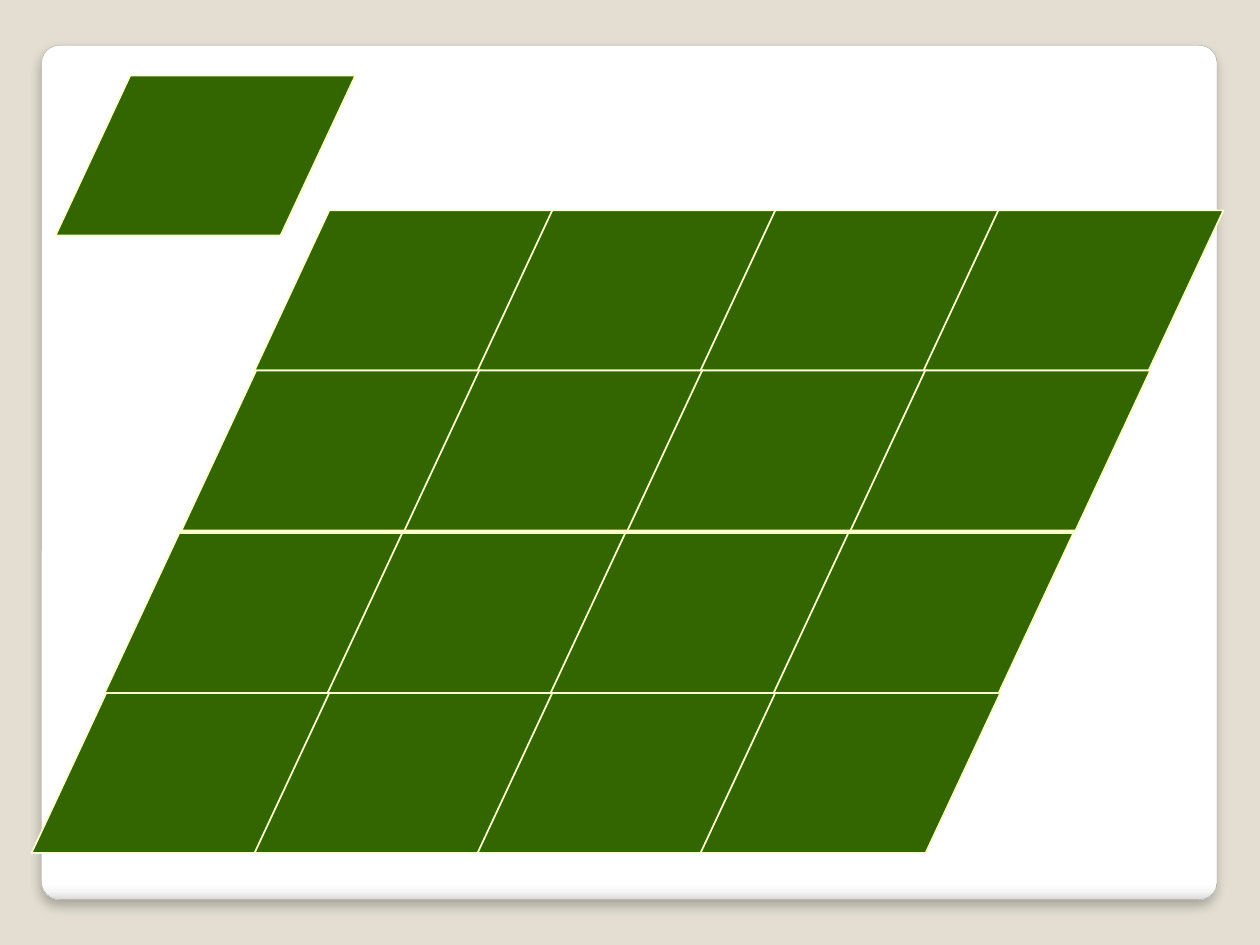
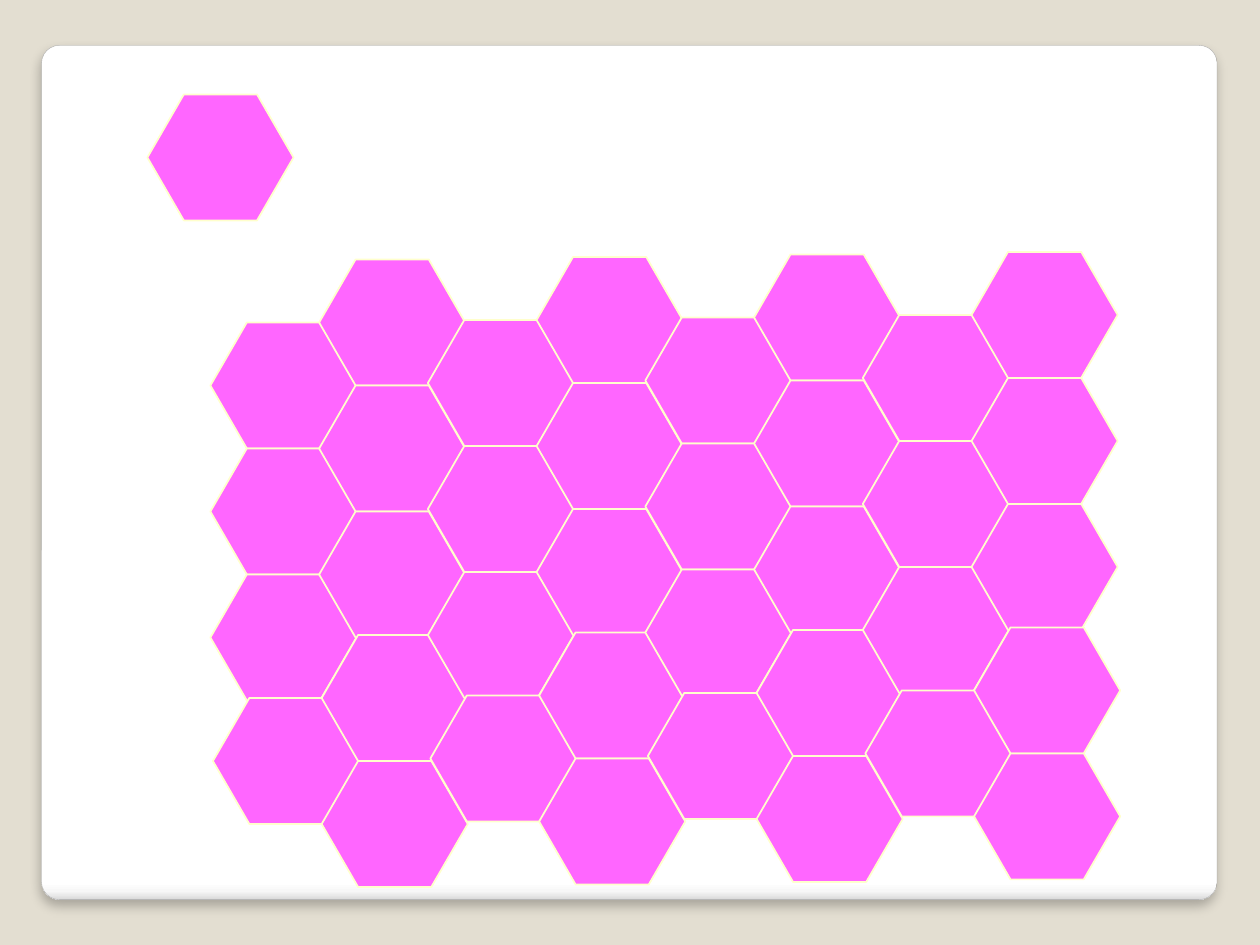
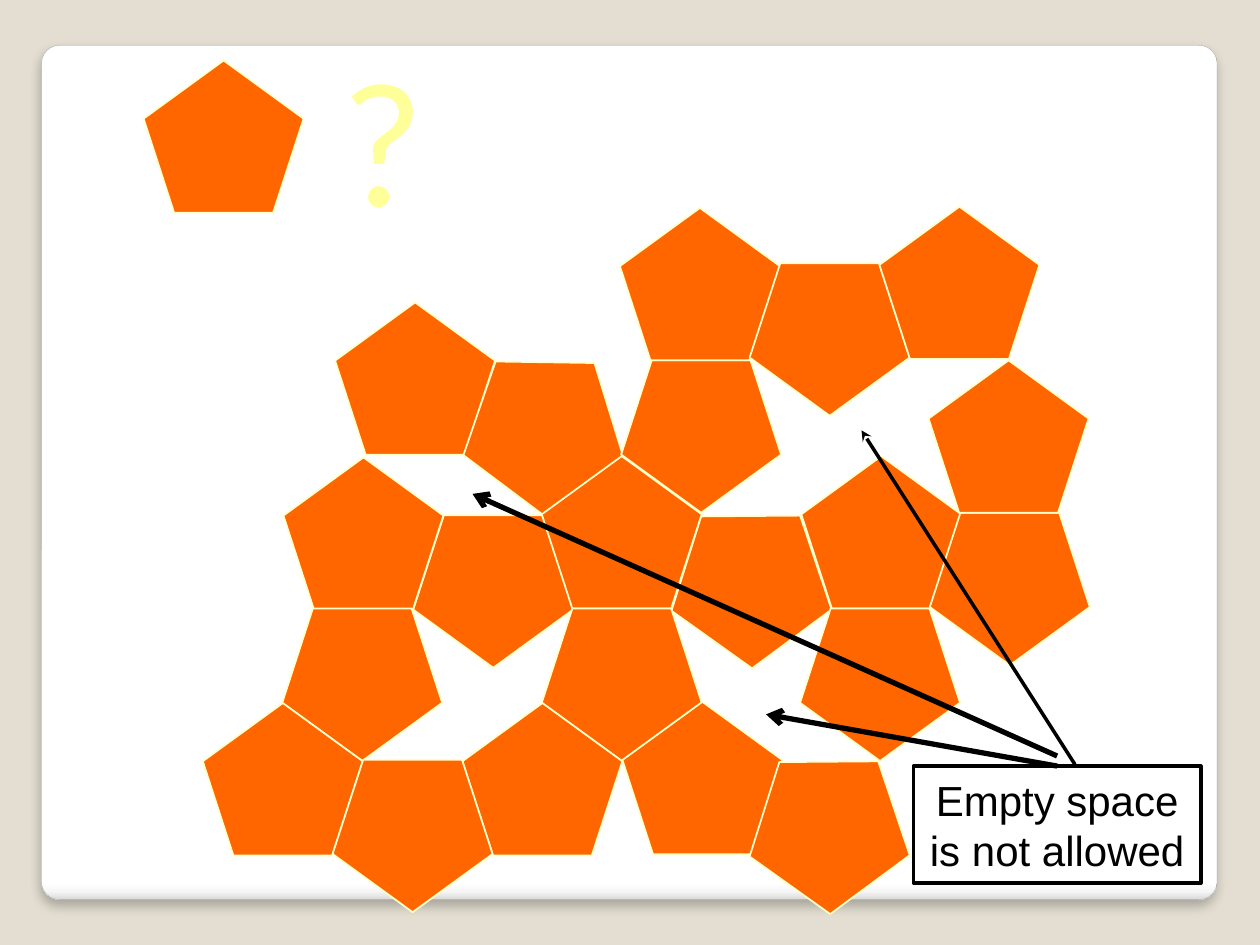
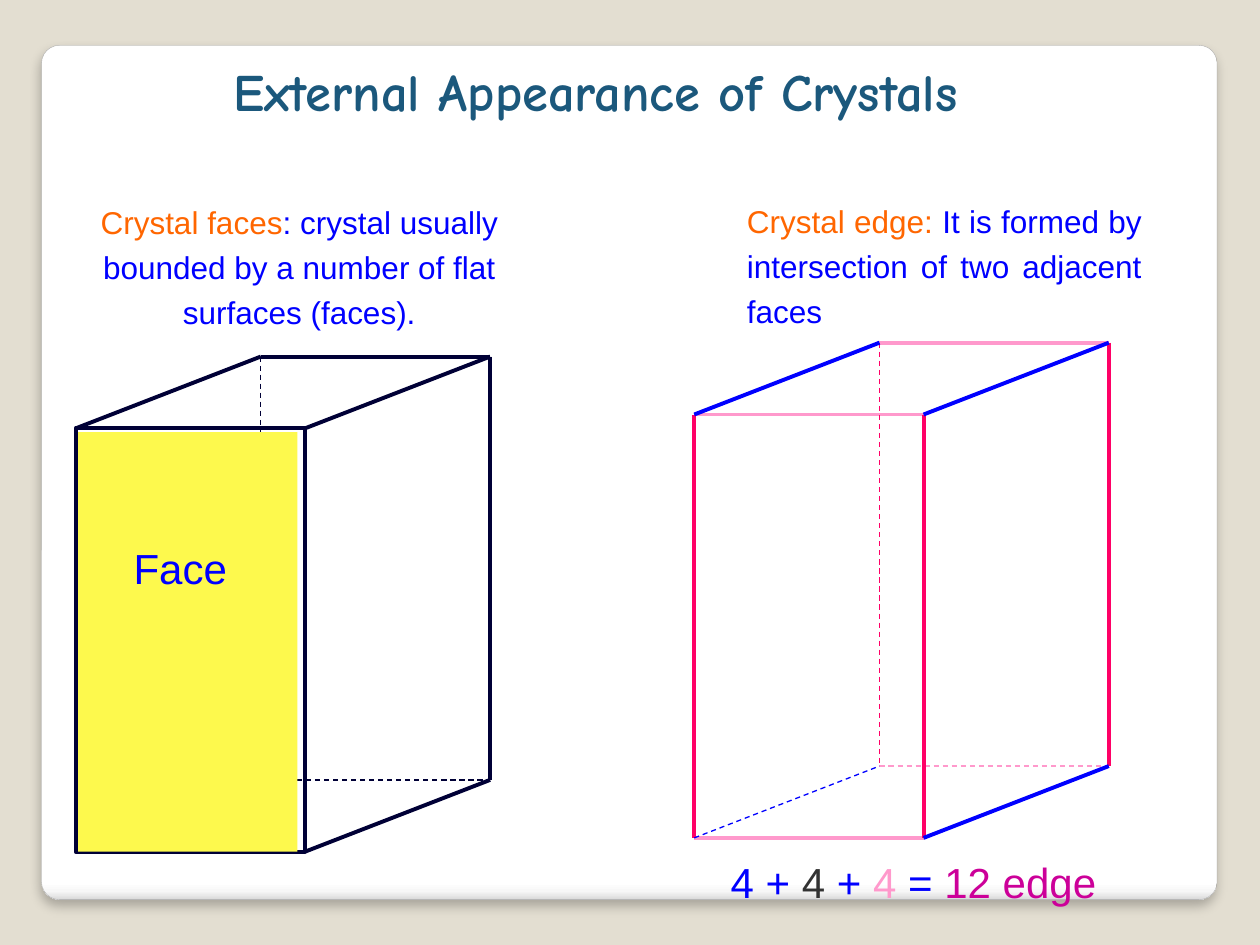
"""Build four slides on tilings and the outer look of crystals."""
from dataclasses import dataclass
from itertools import product

from lxml.etree import SubElement
from pptx import Presentation
from pptx.dml.color import RGBColor
from pptx.enum.dml import MSO_LINE
from pptx.enum.shapes import MSO_CONNECTOR as Link, MSO_SHAPE as Form
from pptx.enum.text import MSO_ANCHOR as Anchor, MSO_AUTO_SIZE as Fit, PP_ALIGN as Align
from pptx.oxml import parse_xml
from pptx.oxml.ns import nsdecls, qn
from pptx.util import Inches, Pt


@dataclass(frozen=True)
class Theme:
    ground: str = "E3DED1"
    rim: str = "A4A4A4"
    seam: str = "FFFFCC"
    green: str = "336600"
    pink: str = "FF66FF"
    orange: str = "FF6600"
    lemon: str = "FFFF99"
    yellow: str = "FDF94D"
    black: str = "000000"
    gray: str = "323232"
    navy: str = "000036"
    blue: str = "0000FF"
    red: str = "FF0066"
    rose: str = "FF99CC"
    plum: str = "CC0099"
    teal: str = "1B587C"
    sans: str = "Arial"
    comic: str = "Comic Neue"
    round: str = "Lato"
    small: int = 18
    mid: int = 24
    head: int = 30
    huge: int = 96
    thin: float = 0.75
    thick: float = 2.25


STOPS = ((0, "FFFFFF"), (98, "FFFFFF"), (99, "F7F7F7"), (100, "DADADA"))


def tone(code):
    return RGBColor.from_string(code)


def write(frame, *runs, font, size, align=Align.CENTER, lead=None, bold=False, wrap=True):
    frame.word_wrap = wrap
    frame.auto_size = Fit.SHAPE_TO_FIT_TEXT
    line = frame.paragraphs[0]
    line.alignment = align
    if lead:
        line.line_spacing = lead
    for text, tint in runs:
        run = line.add_run()
        run.text = text
        run.font.name, run.font.size, run.font.bold = font, Pt(size), bold
        run.font.color.rgb = tone(tint)


def point(line, kind):
    SubElement(line._get_or_add_ln(), qn("a:tailEnd"), type=kind)


class Deck:
    def __init__(self):
        self.look = Theme()
        self.show = Presentation()
        self.show.slide_width, self.show.slide_height = Inches(10), Inches(7.5)
        self.page = None

    def start(self, layout=6):
        self.page = self.show.slides.add_slide(self.show.slide_layouts[layout])

    def frame(self):
        base = self.show.slide_master
        base.background.fill.solid()
        base.background.fill.fore_color.rgb = tone(self.look.ground)
        panel = self.shape(Form.ROUNDED_RECTANGLE, 0.33, 0.36, 9.33, 6.78,
                           line=self.look.rim, width=0.16, bend=(0.021,))
        props = panel.element.spPr
        stops = "".join(f'<a:gs pos="{at * 1000}"><a:srgbClr val="{code}"/></a:gs>'
                        for at, code in STOPS)
        props.replace(props.find(qn("a:noFill")), parse_xml(
            f'<a:gradFill {nsdecls("a")}><a:gsLst>{stops}</a:gsLst>'
            '<a:lin ang="5400000" scaled="0"/></a:gradFill>'))
        props.find(qn("a:effectLst")).append(parse_xml(
            f'<a:outerShdw {nsdecls("a")} blurRad="{Pt(6)}" dist="{Pt(4)}" dir="5400000">'
            '<a:srgbClr val="000000"><a:alpha val="25000"/></a:srgbClr></a:outerShdw>'))
        panel.element.nvSpPr.cNvPr.set("id", "20")
        base.shapes.element.insert(2, panel.element)

    def shape(self, form, left, top, wide, high, fill=None, line=None, width=1, bend=()):
        item = self.page.shapes.add_shape(
            form, Inches(left), Inches(top), Inches(wide), Inches(high))
        item.shadow.inherit = False
        if fill:
            item.fill.solid()
            item.fill.fore_color.rgb = tone(fill)
        else:
            item.fill.background()
        if line:
            item.line.color.rgb = tone(line)
            item.line.width = Pt(width)
        else:
            item.line.fill.background()
        for spot, value in enumerate(bend):
            item.adjustments[spot] = value
        return item

    def text(self, left, top, wide, high, *runs, **style):
        box = self.page.shapes.add_textbox(
            Inches(left), Inches(top), Inches(wide), Inches(high))
        write(box.text_frame, *runs, **style)

    def title(self, left, top, wide, high, *runs, **style):
        box = self.page.shapes.title
        box.left, box.top = Inches(left), Inches(top)
        box.width, box.height = Inches(wide), Inches(high)
        box.text_frame.vertical_anchor = Anchor.TOP
        write(box.text_frame, *runs, **style)

    def line(self, start, end, tint, width, dash=False, tip=None):
        item = self.page.shapes.add_connector(
            Link.STRAIGHT, *(Inches(n) for n in (*start, *end)))
        item.line.color.rgb = tone(tint)
        item.line.width = Pt(width)
        if dash:
            item.line.dash_style = MSO_LINE.DASH
        if tip:
            point(item.line, tip)
        SubElement(item.element.spPr, qn("a:effectLst"))

    def slant(self, left, top):
        self.shape(Form.PARALLELOGRAM, left, top, 2.38, 1.27,
                   self.look.green, self.look.seam, bend=(0.467,))

    def hex(self, left, top):
        self.shape(Form.HEXAGON, left, top, 1.16, 1,
                   self.look.pink, self.look.seam, bend=(0.289,))

    def penta(self, left, top, turn=0, flip=False):
        item = self.shape(Form.REGULAR_PENTAGON, left, top, 1.27, 1.21,
                          self.look.orange, self.look.seam)
        item.rotation = turn
        if flip:
            item.element.spPr.find(qn("a:xfrm")).set("flipV", "1")

    def prism(self, left, top, tints, front=None):
        def spot(i, j, k):
            return left + 1.82 * i + 1.47 * k, top + 3.36 * j - 0.57 * k

        for axis, tint in enumerate(tints):
            for pair in product((0, 1), repeat=2):
                start, end = (pair[:axis] + (bit,) + pair[axis:] for bit in (0, 1))
                if front and start[2] == end[2] == 0:
                    continue
                dash = (0, 1, 1) in (start, end)
                width = self.look.thin if dash else self.look.thick
                self.line(spot(*start), spot(*end), tint, width, dash)
        if front:
            self.shape(Form.RECTANGLE, left, top, 1.82, 3.36,
                       line=front, width=self.look.thick)


def slants(deck):
    deck.start()
    deck.frame()
    deck.slant(0.44, 0.6)
    for left, top in ((2.02, 1.67), (1.44, 2.94), (0.83, 4.23), (0.25, 5.5)):
        for col in range(4):
            deck.slant(left + 1.77 * col, top)


def combs(deck):
    deck.start()
    deck.hex(1.17, 0.75)
    for col in range(8):
        odd = col % 2
        for row in range(4 + odd):
            nudge = 0.02 if row > 2 else 0
            top = 2.56 - 0.5 * odd - 0.02 * (col // 2) + row
            deck.hex(1.67 + 0.863 * col + nudge, top - nudge)


def pentas(deck):
    look = deck.look
    deck.start()
    up, down = {}, {"flip": True}
    right, back = {"turn": 36.9}, {"turn": 323.5}
    for left, top, pose in (
            (1.14, 0.48, up), (2.66, 2.4, up), (3.72, 2.76, right),
            (3.28, 4.09, down), (4.93, 2.86, down), (4.3, 3.62, up),
            (5.29, 3.98, back), (4.3, 4.83, down), (4.94, 5.57, up),
            (6.36, 3.62, up), (4.92, 1.65, up), (6.35, 4.83, down),
            (5.91, 5.93, back), (3.67, 5.58, up), (2.25, 3.63, up),
            (2.24, 4.83, down), (1.61, 5.58, up), (2.64, 6.03, down),
            (5.95, 2.09, down), (7.38, 4.07, down), (7.37, 2.86, up),
            (6.98, 1.64, up)):
        deck.penta(left, top, **pose)
    deck.text(2.61, 0.26, 0.86, 1.7, ("?", look.lemon),
              font=look.round, size=look.huge, wrap=False)
    note = deck.shape(Form.LINE_CALLOUT_1, 7.25, 6.08, 2.28, 0.93, line=look.black,
                      width=2, bend=(-0.014, 0.562, -2.865, -0.181))
    point(note.line, "stealth")
    write(note.text_frame, ("Empty space is not allowed", look.black),
          font=look.sans, size=look.mid)
    for start, end in (((8.39, 6.08), (6.08, 5.67)), ((8.39, 6), (3.75, 3.92))):
        deck.line(start, end, look.black, 3, tip="arrow")


def solids(deck):
    look = deck.look
    label = {"font": look.sans, "size": look.mid}
    prose = {"font": look.sans, "size": look.small, "lead": 1.2}
    deck.start(5)
    deck.text(0.25, 1.5, 4.25, 1.92, ("Crystal faces", look.orange),
              (": crystal usually bounded by a number of flat surfaces (faces).", look.blue),
              **prose)
    deck.prism(0.6, 3.4, (look.navy,) * 3, front=look.navy)
    deck.shape(Form.RECTANGLE, 0.62, 3.43, 1.74, 3.33, look.yellow)
    deck.text(0.89, 4.26, 1.08, 0.5, ("Face", look.blue), **label)
    deck.text(5.83, 1.49, 3.33, 1.19, ("Crystal edge: ", look.orange),
              ("It is formed by intersection of two adjacent faces", look.blue),
              align=Align.JUSTIFY, **prose)
    deck.prism(5.51, 3.29, (look.rose, look.red, look.blue))
    deck.text(4.5, 6.75, 5.5, 0.5, ("4 + ", look.blue), ("4", look.gray),
              (" + ", look.blue), ("4", look.rose), (" = ", look.blue),
              ("12 edge", look.plum), **label)
    deck.title(1.75, 0.42, 6.92, 0.61, ("External Appearance of Crystals", look.teal),
               font=look.comic, size=look.head, align=Align.LEFT, bold=True)


def main():
    deck = Deck()
    for build in (slants, combs, pentas, solids):
        build(deck)
    deck.show.save("out.pptx")


if __name__ == "__main__":
    main()
